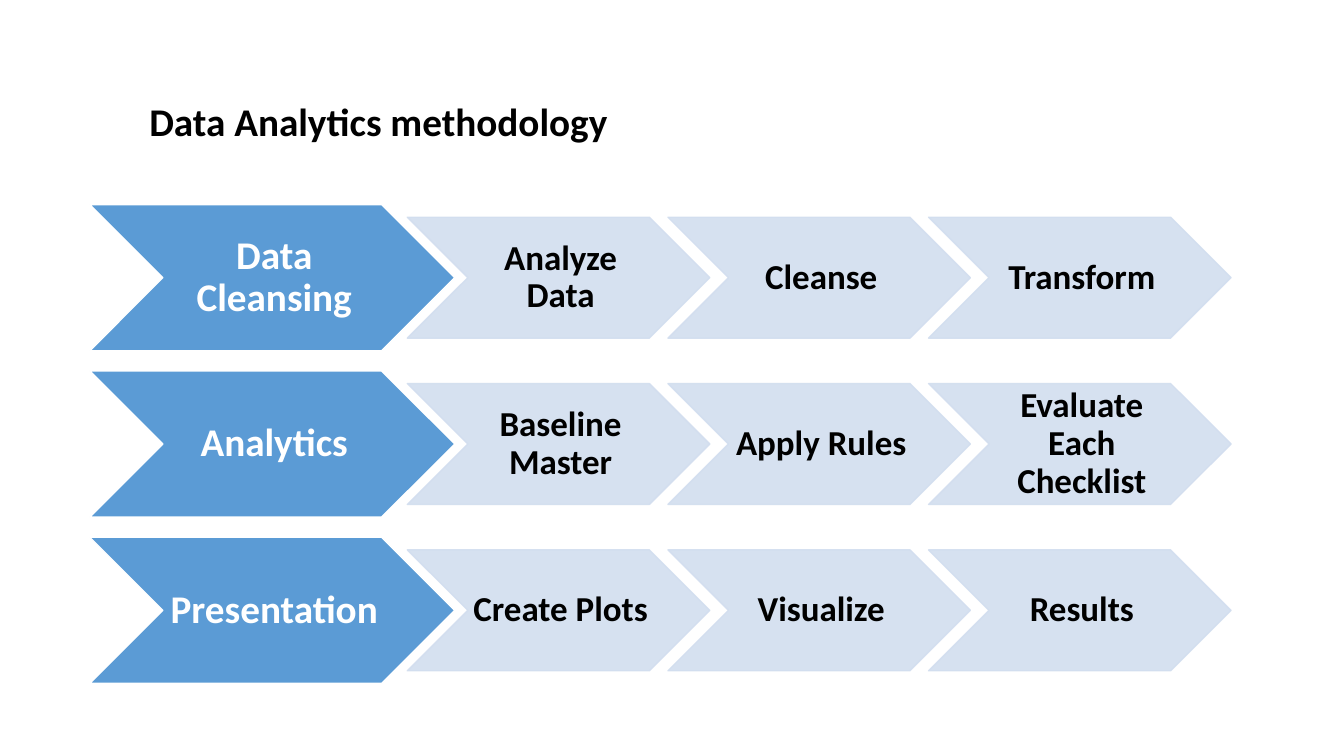
from lxml import etree
from pptx import Presentation
from pptx.dml.color import RGBColor
from pptx.enum.shapes import MSO_SHAPE
from pptx.enum.text import MSO_ANCHOR, MSO_AUTO_SIZE, PP_ALIGN
from pptx.oxml.ns import qn
from pptx.util import Inches, Pt

CHEVRON = MSO_SHAPE.CHEVRON
MIDDLE = MSO_ANCHOR.MIDDLE
LEFT, CENTER = PP_ALIGN.LEFT, PP_ALIGN.CENTER
TITLE_ONLY = 5
FONT = "Calibri"

# Grid of the process, in inches
ROW_TOP, ROW_STEP = 2.03, 1.65
PHASE_LEFT, PHASE_WIDTH, PHASE_HEIGHT = 0.89, 3.62, 1.45
STEP_LEFT, STEP_STEP, STEP_WIDTH, STEP_HEIGHT = 4.04, 2.585, 3, 1.2

PHASES = [
    ("Data Cleansing", ["Analyze Data", "Cleanse", "Transform"]),
    ("Analytics", ["Baseline Master", "Apply Rules", "Evaluate Each Checklist"]),
    ("Presentation", ["Create Plots", "Visualize", "Results"]),
]


def color(hex_value):
    return RGBColor.from_string(hex_value)


def set_margins(text_frame, left, top, right, bottom):
    text_frame.margin_left, text_frame.margin_top = Inches(left), Inches(top)
    text_frame.margin_right, text_frame.margin_bottom = Inches(right), Inches(bottom)


def set_text(text_frame, text, size, text_color, alignment):
    text_frame.text = text
    text_frame.word_wrap = True
    text_frame.auto_size = MSO_AUTO_SIZE.NONE
    text_frame.vertical_anchor = MIDDLE
    paragraph = text_frame.paragraphs[0]
    paragraph.alignment = alignment
    paragraph.line_spacing = 0.9
    font = paragraph.runs[0].font
    font.name, font.size, font.bold = FONT, Pt(size), True
    font.color.rgb = color(text_color)


def set_opacity(shape, percent):
    """Apply one opacity to the fill and the outline."""
    for color_element in shape._element.spPr.iter(qn("a:srgbClr")):
        alpha = etree.SubElement(color_element, qn("a:alpha"))
        alpha.set("val", str(percent * 1000))


def add_chevron(slide, text, box, fill, line, text_color, size):
    shape = slide.shapes.add_shape(CHEVRON, *map(Inches, box))
    shape.shadow.inherit = False
    shape.fill.solid()
    shape.fill.fore_color.rgb = color(fill)
    shape.line.color.rgb = color(line)
    shape.line.width = Pt(1)
    set_text(shape.text_frame, text, size, text_color, CENTER)
    set_margins(shape.text_frame, 0.04, 0.02, 0, 0.02)
    return shape


def add_phase(slide, row, name):
    box = (PHASE_LEFT, ROW_TOP + row * ROW_STEP, PHASE_WIDTH, PHASE_HEIGHT)
    add_chevron(slide, name, box, "5B9BD5", "FFFFFF", "FFFFFF", 28)


def add_step(slide, row, column, name):
    top = ROW_TOP + row * ROW_STEP + (PHASE_HEIGHT - STEP_HEIGHT) / 2
    box = (STEP_LEFT + column * STEP_STEP, top, STEP_WIDTH, STEP_HEIGHT)
    step = add_chevron(slide, name, box, "D2DEEF", "D2DEEF", "000000", 25)
    set_opacity(step, 90)


def format_title(slide, text):
    title = slide.shapes.title
    title.left, title.top = Inches(1.24), Inches(0.7)
    title.width, title.height = Inches(10.19), Inches(0.94)
    set_text(title.text_frame, text, 28, "000000", LEFT)
    set_margins(title.text_frame, 0.24, 0.17, 0.1, 0.05)


def main():
    presentation = Presentation()
    presentation.slide_width = Inches(13.33)
    presentation.slide_height = Inches(7.5)
    slide = presentation.slides.add_slide(presentation.slide_layouts[TITLE_ONLY])

    # Title
    format_title(slide, "Data Analytics methodology")

    # One row per phase, followed by its steps
    for row, (phase, steps) in enumerate(PHASES):
        add_phase(slide, row, phase)
        for column, step in enumerate(steps):
            add_step(slide, row, column, step)

    presentation.save("out.pptx")


if __name__ == "__main__":
    main()
